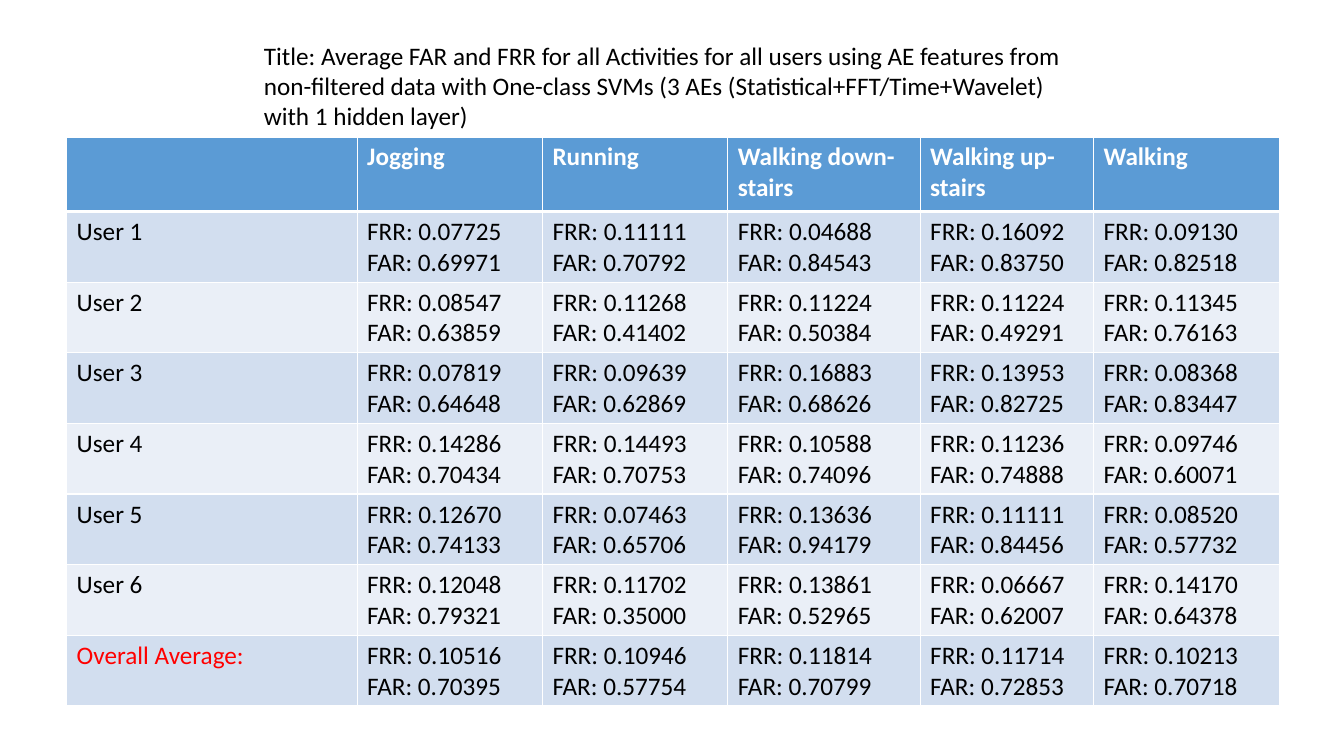
"""Build a slide with a table of FRR and FAR per user and activity."""
from lxml import etree
from pptx import Presentation
from pptx.dml.color import RGBColor
from pptx.enum.text import MSO_AUTO_SIZE
from pptx.oxml.ns import qn
from pptx.util import Cm, Pt

GROW = MSO_AUTO_SIZE.SHAPE_TO_FIT_TEXT
COLORS = {
    "text": "000000",
    "white": "FFFFFF",
    "header": "5B9BD5",
    "odd": "D2DEEF",
    "even": "EAEFF7",
    "average": "FF0000",
}
TITLE = (
    "Title: Average FAR and FRR for all Activities for all users using AE features "
    "from non-filtered data with One-class SVMs (3 AEs (Statistical+FFT/Time+Wavelet) "
    "with 1 hidden layer)"
)
ACTIVITIES = ["Jogging", "Running", "Walking down-stairs", "Walking up-stairs", "Walking"]
AVERAGE = "Overall Average:"
RATES = {
    "User 1": [("0.07725", "0.69971"), ("0.11111", "0.70792"), ("0.04688", "0.84543"),
               ("0.16092", "0.83750"), ("0.09130", "0.82518")],
    "User 2": [("0.08547", "0.63859"), ("0.11268", "0.41402"), ("0.11224", "0.50384"),
               ("0.11224", "0.49291"), ("0.11345", "0.76163")],
    "User 3": [("0.07819", "0.64648"), ("0.09639", "0.62869"), ("0.16883", "0.68626"),
               ("0.13953", "0.82725"), ("0.08368", "0.83447")],
    "User 4": [("0.14286", "0.70434"), ("0.14493", "0.70753"), ("0.10588", "0.74096"),
               ("0.11236", "0.74888"), ("0.09746", "0.60071")],
    "User 5": [("0.12670", "0.74133"), ("0.07463", "0.65706"), ("0.13636", "0.94179"),
               ("0.11111", "0.84456"), ("0.08520", "0.57732")],
    "User 6": [("0.12048", "0.79321"), ("0.11702", "0.35000"), ("0.13861", "0.52965"),
               ("0.06667", "0.62007"), ("0.14170", "0.64378")],
    AVERAGE: [("0.10516", "0.70395"), ("0.10946", "0.57754"), ("0.11814", "0.70799"),
              ("0.11714", "0.72853"), ("0.10213", "0.70718")],
}
COLUMN_WIDTHS = [7.32, 4.67, 4.67, 4.85, 4.37, 4.7]
HEADER_HEIGHT, ROW_HEIGHT = 1.88, 1.78


class SlideBuilder:
    def __init__(self, page, font="Calibri", size=18):
        self.page = page
        self.font = font
        self.size = size

    def fill_text(self, frame, text, color="text", bold=False):
        frame.text = text
        for paragraph in frame.paragraphs:
            paragraph.font.size = Pt(self.size)
            for span in paragraph.runs:
                span.font.name = self.font
                span.font.size = Pt(self.size)
                span.font.bold = bold
                span.font.color.rgb = RGBColor.from_string(COLORS[color])

    def text(self, left, top, width, height, text):
        box = self.page.shapes.add_textbox(Cm(left), Cm(top), Cm(width), Cm(height))
        box.text_frame.word_wrap = True
        box.text_frame.auto_size = GROW
        self.fill_text(box.text_frame, text)

    def borders(self, cell, **widths):
        properties = cell._tc.get_or_add_tcPr()
        for side in "LRTB":
            line = etree.SubElement(properties, qn(f"a:ln{side}"), w=str(Pt(widths.get(side, 1))))
            fill = etree.SubElement(line, qn("a:solidFill"))
            etree.SubElement(fill, qn("a:srgbClr"), val=COLORS["white"])

    def cell(self, cell, text, fill, color, bold, **widths):
        self.borders(cell, **widths)
        cell.fill.solid()
        cell.fill.fore_color.rgb = RGBColor.from_string(COLORS[fill])
        self.fill_text(cell.text_frame, text, color, bold)

    def table(self, left, top, rows):
        heights = [HEADER_HEIGHT] + [ROW_HEIGHT] * (len(rows) - 1)
        table = self.page.shapes.add_table(
            len(rows), len(COLUMN_WIDTHS), Cm(left), Cm(top),
            Cm(sum(COLUMN_WIDTHS)), Cm(sum(heights))).table
        for column, width in zip(table.columns, COLUMN_WIDTHS):
            column.width = Cm(width)
        for index, (values, height) in enumerate(zip(rows, heights)):
            table.rows[index].height = Cm(height)
            header = index == 0
            fill = "header" if header else "odd" if index % 2 else "even"
            widths = {"B": 3} if header else {"T": 3} if index == 1 else {}
            for column, text in enumerate(values):
                color = "white" if header else "average" if text == AVERAGE else "text"
                self.cell(table.cell(index, column), text, fill, color, header, **widths)


deck = Presentation()
deck.slide_width, deck.slide_height = Cm(33.87), Cm(19.05)
builder = SlideBuilder(deck.slides.add_slide(deck.slide_layouts[6]))
builder.text(6.4, 0.89, 20.65, 2.57, TITLE)
rate_rows = [[user] + [f"FRR: {frr}\nFAR: {far}" for frr, far in rates]
             for user, rates in RATES.items()]
builder.table(1.68, 3.45, [[""] + ACTIVITIES] + rate_rows)
deck.save("out.pptx")
